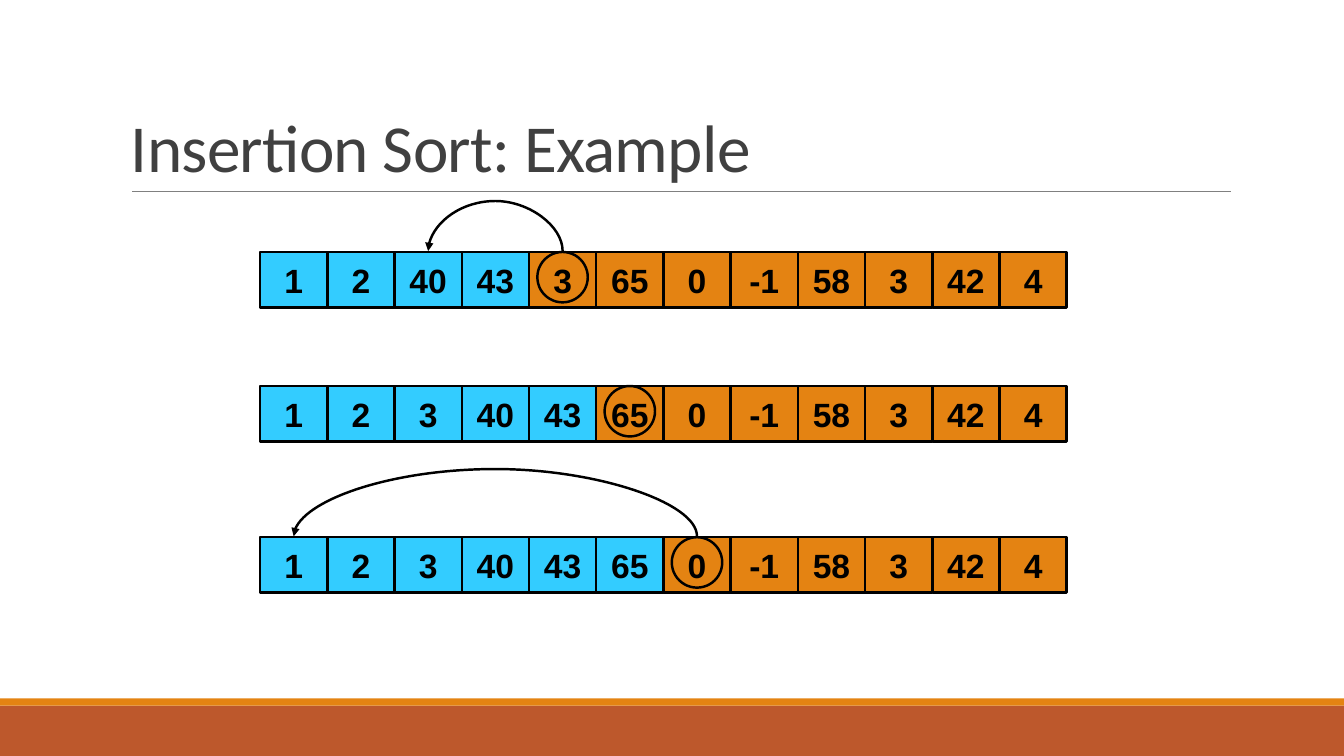
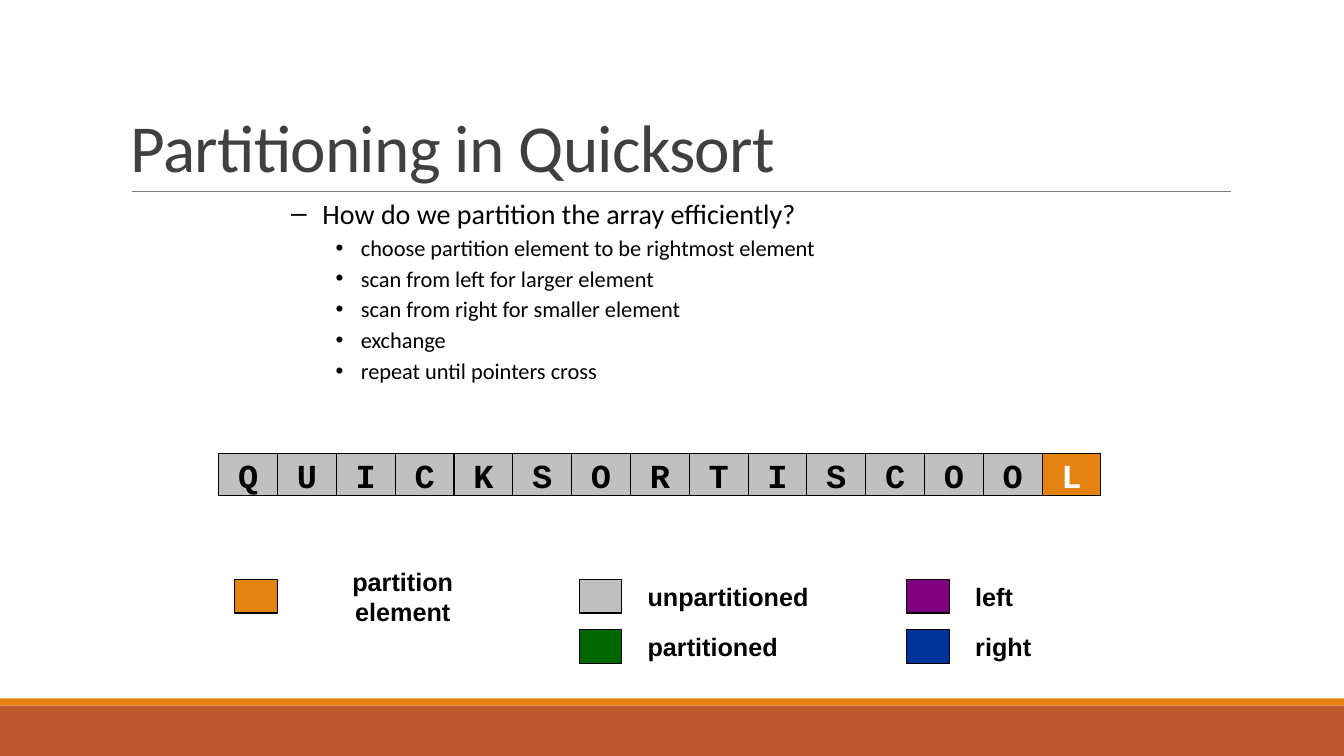
from dataclasses import dataclass

from lxml import etree
from pptx import Presentation
from pptx import util as u
from pptx.dml.color import RGBColor
from pptx.enum import shapes, text
from pptx.oxml import ns


@dataclass(frozen=True)
class Theme:
    """Colours, fonts and type sizes shared by the slides."""

    band: str = "BD582C"
    accent: str = "E48312"
    rule: str = "808080"
    title: str = "404040"
    ink: str = "000000"
    paper: str = "FFFFFF"
    sorted: str = "33CCFF"
    unpartitioned: str = "C0C0C0"
    partitioned: str = "006600"
    left: str = "800080"
    right: str = "003399"
    title_font: str = "Calibri"
    label_font: str = "Arial"
    code_font: str = "Courier New"
    title_size: int = 48
    cell_size: int = 24
    question_size: int = 20
    legend_size: int = 18
    step_size: int = 16


@dataclass(frozen=True)
class Box:
    """A rectangle in inches."""

    left: float
    top: float
    width: float
    height: float

    def emu(self):
        """Return the rectangle in slide units."""
        return [u.Inches(side) for side in (self.left, self.top, self.width, self.height)]

    def column(self, index, count):
        """Return one of count equal columns."""
        width = self.width / count
        return Box(self.left + index * width, self.top, width, self.height)


THEME = Theme()
SLIDE = Box(0, 0, 13.33, 7.5)
TITLE = Box(1.2, 0.31, 11, 1.59)
CURVE_THICKNESS = u.Emu(1600)


def add_child(parent, tag, **attributes):
    """Append a drawing element to its parent."""
    return etree.SubElement(parent, ns.qn(tag), attributes)


def style_font(font, name, size, colour, bold=False):
    """Set the look of a font."""
    font.name, font.size, font.bold = name, u.Pt(size), bold
    font.color.rgb = RGBColor.from_string(colour)


def add_block(slide, box, fill=None, line=None, kind=shapes.MSO_SHAPE.RECTANGLE):
    """Draw a preset shape with an optional fill and black outline width."""
    shape = slide.shapes.add_shape(kind, *box.emu())
    shape.shadow.inherit = False
    if fill:
        shape.fill.solid()
        shape.fill.fore_color.rgb = RGBColor.from_string(fill)
    else:
        shape.fill.background()
    if line:
        shape.line.color.rgb = RGBColor.from_string(THEME.ink)
        shape.line.width = u.Pt(line)
    else:
        shape.line.fill.background()
    return shape


def write(shape, words, name, size, colour=THEME.ink, bold=True, centred=True):
    """Write one unwrapped, vertically centred line into a shape."""
    frame = shape.text_frame
    frame.text = words
    frame.word_wrap = False
    frame.vertical_anchor = text.MSO_ANCHOR.MIDDLE
    paragraph = frame.paragraphs[0]
    paragraph.alignment = text.PP_ALIGN.CENTER if centred else text.PP_ALIGN.LEFT
    style_font(paragraph.runs[0].font, name, size, colour, bold)


def add_line(slide, kind, ends, colour, width):
    """Draw a connector without a shadow."""
    connector = slide.shapes.add_connector(kind, *ends)
    connector.line.color.rgb = RGBColor.from_string(colour)
    connector.line.width = u.Pt(width)
    add_child(connector._element.spPr, "a:effectLst")
    return connector


def add_frame(presentation, heading):
    """Add a slide with the footer bands, title rule and title."""
    slide = presentation.slides.add_slide(presentation.slide_layouts[6])
    add_block(slide, Box(0, 7, SLIDE.width, 0.5), THEME.band)
    add_block(slide, Box(0, 6.93, SLIDE.width, 0.07), THEME.accent)
    base = TITLE.top + TITLE.height
    ends = [u.Inches(value) for value in (1.31, base, 12.21, base)]
    add_line(slide, shapes.MSO_CONNECTOR.STRAIGHT, ends, THEME.rule, 0.5)
    title = slide.shapes.add_textbox(*TITLE.emu())
    write(title, heading, THEME.title_font, THEME.title_size, THEME.title, False, False)
    title.text_frame.word_wrap = True
    title.text_frame.vertical_anchor = text.MSO_ANCHOR.BOTTOM
    paragraph = title.text_frame.paragraphs[0]
    paragraph.line_spacing = 0.85
    paragraph.runs[0].font._element.set("spc", "-50")
    return slide


def add_cells(slide, box, values, fills, line, name, colours):
    """Draw an array as a row of equal cells."""
    for index, (value, fill, colour) in enumerate(zip(values, fills, colours)):
        cell = add_block(slide, box.column(index, len(values)), fill, line)
        write(cell, value, name, THEME.cell_size, colour)


def add_jump(slide, start, end, top, rise):
    """Arch an arrow leftwards from start to end above a row."""
    middle, level = u.Inches((start + end) / 2), u.Inches(top)
    half_span, half_thickness = u.Inches((start - end) / 2), CURVE_THICKNESS // 2
    ends = (middle + half_thickness, level + half_span, middle - half_thickness, level - half_span)
    arrow = add_line(slide, shapes.MSO_CONNECTOR.CURVE, ends, THEME.ink, 1.75)
    properties = arrow._element.spPr
    properties.find(ns.qn("a:xfrm")).set("rot", str(270 * 60000))
    bend = -round(u.Inches(rise) / CURVE_THICKNESS * 100000)
    guides = properties.find(ns.qn("a:prstGeom")).find(ns.qn("a:avLst"))
    add_child(guides, "a:gd", name="adj1", fmla=f"val {bend}")
    add_child(arrow.line._get_or_add_ln(), "a:tailEnd", type="triangle")


def add_sort_step(slide, box, values, sorted_count, target=None, rise=0):
    """Draw one insertion step with its current element ringed."""
    count = len(values)
    fills = [THEME.sorted] * sorted_count + [THEME.accent] * (count - sorted_count)
    add_cells(slide, box, values, fills, 1.75, THEME.label_font, [THEME.ink] * count)
    current = box.column(sorted_count, count)
    centre, ring = current.left + current.width / 2, 0.5
    add_block(slide, Box(centre - ring / 2, box.top, ring, ring), line=1.75, kind=shapes.MSO_SHAPE.OVAL)
    if target is not None:
        end = box.column(target, count)
        add_jump(slide, centre, end.left + end.width / 2, box.top - 0.01, rise)


def add_steps(slide, box, question, steps):
    """List the steps that answer a question."""
    frame = slide.shapes.add_textbox(*box.emu()).text_frame
    frame.word_wrap = True
    for index, words in enumerate([question, *steps]):
        paragraph = frame.add_paragraph() if index else frame.paragraphs[0]
        paragraph.text = words
        paragraph.level = 2 if index else 1
        margin, indent, mark, size = (
            (1.19, -0.25, "•", THEME.step_size) if index else (0.81, -0.31, "–", THEME.question_size)
        )
        properties = paragraph._p.get_or_add_pPr()
        properties.set("marL", str(u.Inches(margin)))
        properties.set("indent", str(u.Inches(indent)))
        add_child(properties, "a:buFont", typeface=THEME.label_font)
        add_child(properties, "a:buChar", char=mark)
        if index:
            paragraph.space_before = u.Pt(2.8)
        style_font(paragraph.runs[0].font, THEME.title_font, size, THEME.ink)


def add_legend(slide, box, entries):
    """Place colour swatches and labels at column shares and rows."""
    for share, row, fill, words, width, centred in entries:
        left, top = box.left + share * box.width, box.top + row * box.height * 0.6
        height = box.height * 0.4
        add_block(slide, Box(left, top, 0.42, height), fill, 0.75)
        label = slide.shapes.add_textbox(*Box(left + 0.58, top, width, height).emu())
        write(label, words, THEME.label_font, THEME.legend_size, centred=centred)


def build_insertion_sort(presentation):
    """Build the insertion sort example."""
    slide = add_frame(presentation, "Insertion Sort: Example")
    tail = "0 -1 58 3 42 4"
    steps = [
        (2.5, f"1 2 40 43 3 65 {tail}", 4, 2, 0.55),
        (3.83, f"1 2 3 40 43 65 {tail}", 5, None, 0),
        (5.33, f"1 2 3 40 43 65 {tail}", 6, 0, 0.74),
    ]
    for top, values, sorted_count, target, rise in steps:
        add_sort_step(slide, Box(2.58, top, 8, 0.55), values.split(), sorted_count, target, rise)


def build_partitioning(presentation):
    """Build the quicksort partitioning slide."""
    slide = add_frame(presentation, "Partitioning in Quicksort")
    letters = "QUICKSORTISCOOL"
    rest = len(letters) - 1
    fills = [THEME.unpartitioned] * rest + [THEME.accent]
    colours = [THEME.ink] * rest + [THEME.paper]
    add_cells(slide, Box(2.17, 4.5, 8.75, 0.42), letters, fills, 0.75, THEME.code_font, colours)
    add_legend(slide, Box(2.33, 5.75, 8.33, 0.83), [
        (0, 0, THEME.accent, "partition element", 2.17, True),
        (0.41, 0, THEME.unpartitioned, "unpartitioned", 2.17, False),
        (0.41, 1, THEME.partitioned, "partitioned", 2.17, False),
        (0.8, 0, THEME.left, "left", 1.08, False),
        (0.8, 1, THEME.right, "right", 1.08, False),
    ])
    add_steps(slide, Box(2.29, 1.9, 8.75, 2.1), "How do we partition the array efficiently?", [
        "choose partition element to be rightmost element",
        "scan from left for larger element",
        "scan from right for smaller element",
        "exchange",
        "repeat until pointers cross",
    ])


def main():
    """Build and save the presentation."""
    presentation = Presentation()
    presentation.slide_width = u.Inches(SLIDE.width)
    presentation.slide_height = u.Inches(SLIDE.height)
    build_insertion_sort(presentation)
    build_partitioning(presentation)
    presentation.save("out.pptx")


if __name__ == "__main__":
    main()
